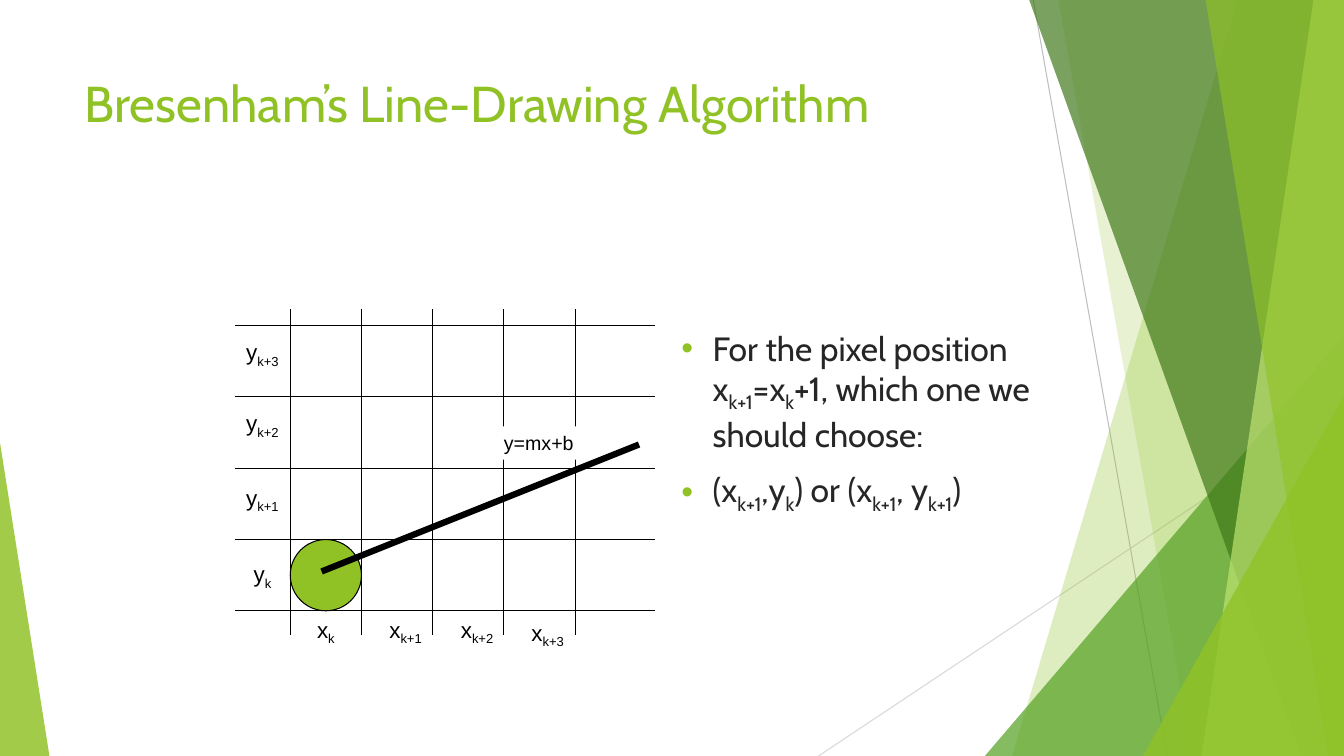
"""Build the slide on Bresenham's line-drawing algorithm."""
from dataclasses import dataclass

from lxml.etree import SubElement
from pptx import Presentation
from pptx.dml.color import RGBColor
from pptx.enum.shapes import MSO_CONNECTOR, MSO_SHAPE
from pptx.enum.text import MSO_ANCHOR, PP_ALIGN
from pptx.oxml.ns import qn
from pptx.util import Emu, Inches, Pt

WIDE, HIGH = Inches(13.33), Inches(7.5)
LIME, BLACK, WHITE = "90C226", "000000", "FFFFFF"
LEFT, BASE = 21.6, 80.8
STEP_X, STEP_Y = 5.3, 9.43


@dataclass
class Facet:
    """A see-through polygon with corners in percent of the slide."""
    points: list[tuple[float, float]]
    color: str
    alpha: int


@dataclass
class Wedge:
    """A right triangle standing on the slide's lower edge."""
    left: float
    top: float
    width: float
    apex: int
    color: str
    alpha: int


@dataclass
class Line:
    """A straight line with ends in percent of the slide."""
    start: tuple[float, float]
    end: tuple[float, float]
    color: str = BLACK
    weight: float = 0.75


@dataclass
class Label:
    """A short text whose odd parts between bars are subscripts."""
    text: str
    left: float
    top: float
    width: float = STEP_X
    height: float = 4.93
    size: int = 16
    align: PP_ALIGN = PP_ALIGN.CENTER
    fill: str = ""


RAYS = [
    Line((76.88, 0), (86.85, 100), "BFBFBF"),
    Line((100, 53.73), (60.9, 100), "D8D8D8"),
]
DECOR = [
    Facet([(92.1, 0), (100, 0), (100, 100), (75.3, 100)], LIME, 29),
    Facet([(78.75, 0), (100, 0), (100, 100), (88.73, 100)], LIME, 20),
    Wedge(73.28, 44.4, 26.72, 1, "54A021", 71),
    Facet([(76.58, 0), (100, 0), (100, 100), (96.83, 100)], "3F7818", 69),
    Facet([(97.73, 0), (100, 0), (100, 100), (89.4, 100)], "BFE471", 69),
    Facet([(89.7, 0), (100, 0), (100, 100), (98.85, 100)], LIME, 64),
    Wedge(85.05, 52.4, 14.95, 1, LIME, 80),
    Wedge(0, 58.53, 3.68, 0, LIME, 84),
]
GRID = [Line((17.5, BASE - n * STEP_Y), (48.75, BASE - n * STEP_Y)) for n in range(4, -1, -1)]
GRID += [Line((LEFT + n * STEP_X, 40.93), (LEFT + n * STEP_X, 84)) for n in range(5)]
SLOPE = Line((23.93, 75.6), (47.55, 58.8), weight=4.5)

MARKS = ["k", "k+1", "k+2", "k+3"]
LABELS = [Label("y=mx+b", 34.58, 56.4, 8.85, 4.4, 14, PP_ALIGN.RIGHT, WHITE)]
LABELS += [Label(f"y|{mark}", 16.88, top)
           for mark, top in zip(MARKS, [73.47, 63.33, 53.47, 44.13])]
LABELS += [Label(f"x|{mark}", left, top) for mark, left, top in
           zip(MARKS, [LEFT, 27.53, 32.85, 38.1], [BASE, BASE, BASE, 81.2])]
POINTS = [
    "For the pixel position x|k+1|=x|k|+1, which one we should choose:",
    "(x|k+1|,y|k|) or (x|k+1|, y|k+1|)",
]


def col(share: float) -> Emu:
    """Turn a percentage of the slide's width into a length."""
    return Emu(round(WIDE * share / 100))


def row(share: float) -> Emu:
    """Turn a percentage of the slide's height into a length."""
    return Emu(round(HIGH * share / 100))


def tint(code: str) -> RGBColor:
    """Turn a hex string into a colour."""
    return RGBColor.from_string(code)


def paint(shape, color: str, alpha: int) -> None:
    """Fill a shape with a see-through colour and no outline."""
    shape.shadow.inherit = False
    shape.fill.solid()
    shape.fill.fore_color.rgb = tint(color)
    code = shape.element.spPr.find(".//" + qn("a:srgbClr"))
    SubElement(code, qn("a:alpha")).set("val", str(alpha * 1000))
    shape.line.fill.background()


def draw_facet(shapes, item: Facet) -> None:
    """Draw one polygon."""
    spots = [(col(x), row(y)) for x, y in item.points]
    pen = shapes.build_freeform(*spots[0])
    pen.add_line_segments(spots[1:], close=True)
    paint(pen.convert_to_shape(), item.color, item.alpha)


def draw_wedge(shapes, item: Wedge) -> None:
    """Draw one right triangle."""
    shape = shapes.add_shape(MSO_SHAPE.ISOSCELES_TRIANGLE, col(item.left), row(item.top),
                             col(item.width), row(100 - item.top))
    shape.adjustments[0] = item.apex
    paint(shape, item.color, item.alpha)


def draw_line(shapes, item: Line) -> None:
    """Draw one straight line without a shadow."""
    (x1, y1), (x2, y2) = item.start, item.end
    line = shapes.add_connector(MSO_CONNECTOR.STRAIGHT, col(x1), row(y1), col(x2), row(y2))
    line.line.color.rgb = tint(item.color)
    line.line.width = Pt(item.weight)
    SubElement(line.element.spPr, qn("a:effectLst"))


def write(para, text: str, font: str, size: int, color: str) -> None:
    """Write text whose odd parts between bars are subscripts."""
    for place, part in enumerate(text.split("|")):
        run = para.add_run()
        run.text = part
        run.font.name = font
        run.font.size = Pt(size)
        run.font.color.rgb = tint(color)
        if place % 2:
            run.font._element.set("baseline", "-25000")


def draw_label(shapes, item: Label) -> None:
    """Draw one label of the diagram."""
    box = shapes.add_textbox(col(item.left), row(item.top), col(item.width), row(item.height))
    if item.fill:
        box.fill.solid()
        box.fill.fore_color.rgb = tint(item.fill)
    box.text_frame.word_wrap = True
    para = box.text_frame.paragraphs[0]
    para.alignment = item.align
    write(para, item.text, "Arial", item.size, BLACK)


def place(shape, left: float, top: float, width: float, height: float) -> None:
    """Move a placeholder and anchor its text at the top."""
    shape.left, shape.top = col(left), row(top)
    shape.width, shape.height = col(width), row(height)
    shape.text_frame.vertical_anchor = MSO_ANCHOR.TOP


def add_point(para, text: str, gap: float) -> None:
    """Write one bulleted paragraph."""
    para.space_before = Pt(gap)
    props = para._p.get_or_add_pPr()
    props.set("marL", str(Inches(0.31)))
    props.set("indent", str(-Inches(0.31)))
    SubElement(SubElement(props, qn("a:buClr")), qn("a:srgbClr")).set("val", LIME)
    SubElement(props, qn("a:buFont")).set("typeface", "Arial")
    SubElement(props, qn("a:buChar")).set("char", "•")
    write(para, text, "Cabin", 24, "262626")


def main() -> None:
    """Build and save the slide."""
    deck = Presentation()
    deck.slide_width, deck.slide_height = WIDE, HIGH
    slide = deck.slides.add_slide(deck.slide_layouts[1])
    shapes = slide.shapes
    title, body = shapes.title, slide.placeholders[1]
    for ray in RAYS:
        draw_line(shapes, ray)
    for item in DECOR:
        (draw_facet if isinstance(item, Facet) else draw_wedge)(shapes, item)
    for holder in (title, body):
        shapes.element.append(holder.element)
    place(title, 5.55, 8.93, 70.5, 19.2)
    head = title.text_frame.paragraphs[0]
    head.alignment = PP_ALIGN.LEFT
    write(head, "Bresenham’s Line-Drawing Algorithm", "Cabin", 36, LIME)
    place(body, 49.95, 42.67, 33.68, 34)
    frame = body.text_frame
    add_point(frame.paragraphs[0], POINTS[0], 0)
    add_point(frame.add_paragraph(), POINTS[1], 10.8)
    for line in GRID:
        draw_line(shapes, line)
    dot = shapes.add_shape(MSO_SHAPE.OVAL, col(LEFT), row(BASE - STEP_Y), col(STEP_X), row(STEP_Y))
    dot.shadow.inherit = False
    dot.fill.solid()
    dot.fill.fore_color.rgb = tint(LIME)
    dot.line.color.rgb = tint(BLACK)
    dot.line.width = Pt(0.75)
    draw_line(shapes, SLOPE)
    for label in LABELS:
        draw_label(shapes, label)
    deck.save("out.pptx")


if __name__ == "__main__":
    main()
